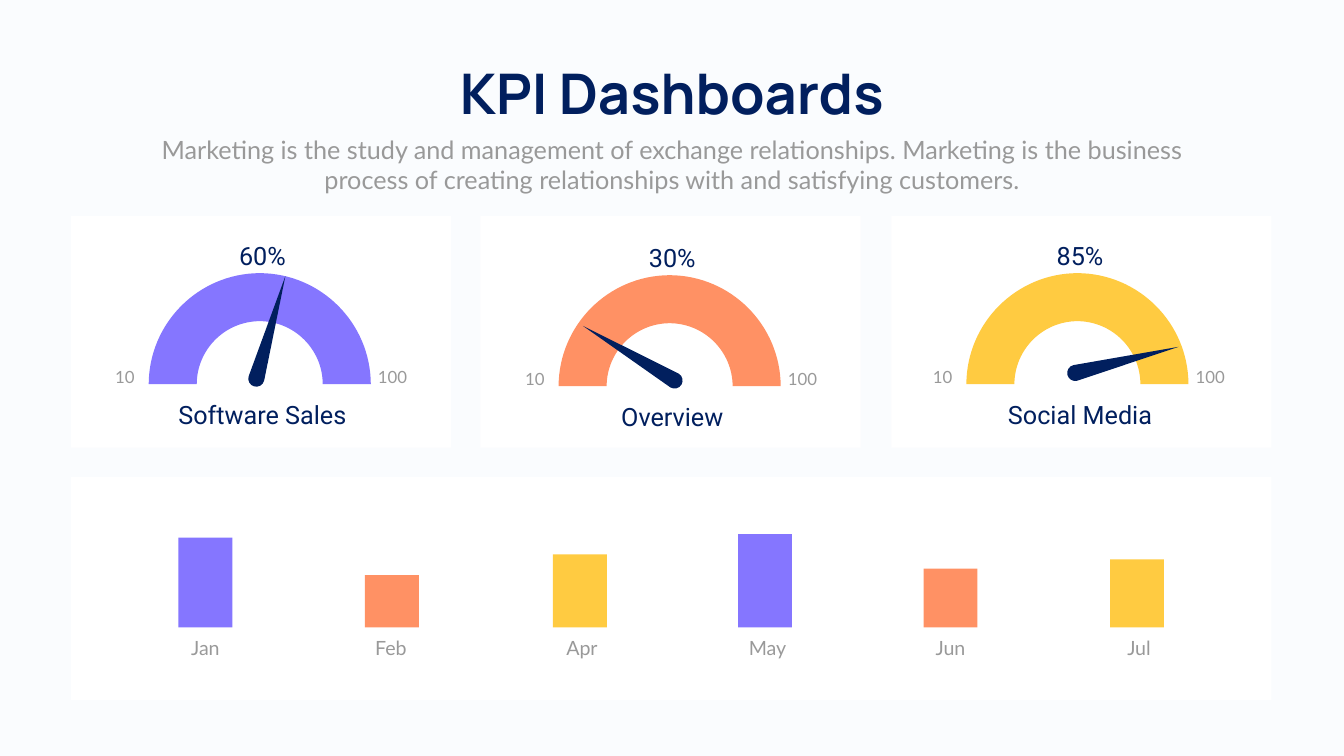
from math import cos, radians, sin

from pptx import Presentation
from pptx.dml.color import RGBColor
from pptx.enum.shapes import MSO_SHAPE
from pptx.enum.text import MSO_AUTO_SIZE, PP_ALIGN
from pptx.oxml.ns import qn
from pptx.oxml.xmlchemy import OxmlElement
from pptx.util import Pt

RECT = MSO_SHAPE.RECTANGLE
FIT = MSO_AUTO_SIZE.SHAPE_TO_FIT_TEXT
LEFT, MID, RIGHT = PP_ALIGN.LEFT, PP_ALIGN.CENTER, PP_ALIGN.RIGHT

PAPER = RGBColor(0xFA, 0xFC, 0xFE)
WHITE = RGBColor(0xFF, 0xFF, 0xFF)
NAVY = RGBColor(0x01, 0x1F, 0x5E)
GREY = RGBColor(0x99, 0x99, 0x99)
VIOLET = RGBColor(0x85, 0x76, 0xFF)
CORAL = RGBColor(0xFF, 0x91, 0x64)
YELLOW = RGBColor(0xFF, 0xCB, 0x41)
COLORS = (VIOLET, CORAL, YELLOW)

OUTER, INNER = 158.6, 90
NEEDLE, HUB = 152.3, 11.5
PULL, SWING = 1.14, 28.9
BASE = 896.4
BAR = 77

CARDS = (101.5, 686.2, 1273)
GAUGES = (
    ("Software Sales", "60%", 212.4, 390.2, (153.7, 150.8), 74.2),
    ("Overview", "30%", 797.8, 393.1, (165.6, 150.5), 149.2),
    ("Social Media", "85%", 1380.2, 390.2, (155.5, 142.6), 14.2),
)
BARS = (
    ("Jan", 254.9, 128.2, 179.3),
    ("Feb", 521.3, 74.9, 444.2),
    ("Apr", 789.8, 104.4, 717.1),
    ("May", 1054.1, 133.2, 982.1),
    ("Jun", 1319, 84.2, 1243.4),
    ("Jul", 1585.4, 97.2, 1512.7),
)


def paint(shape, color):
    shape.shadow.inherit = False
    shape.fill.solid()
    shape.fill.fore_color.rgb = color
    shape.line.fill.background()


def add_box(slide, x, y, w, h, color):
    paint(slide.shapes.add_shape(RECT, Pt(x), Pt(y), Pt(w), Pt(h)), color)


def add_text(slide, text, x, y, w, h, *, size, font="Lato", color=GREY,
             align=MID, bold=False, wrap=True, lead=None):
    frame = slide.shapes.add_textbox(Pt(x), Pt(y), Pt(w), Pt(h)).text_frame
    frame.word_wrap = wrap
    frame.auto_size = FIT
    para = frame.paragraphs[0]
    para.alignment = align
    if lead:
        para.line_spacing = Pt(lead)
    run = para.add_run()
    run.text = text
    run.font.name = font
    run.font.size = Pt(size)
    run.font.bold = bold
    run.font.color.rgb = color


def polar(x, y, reach, angle):
    turn = radians(angle)
    return x + reach * cos(turn), y - reach * sin(turn)


def half(x, y, reach, start, sign):
    points = [polar(x, y, reach, start)]
    for angle in (start, start + 90 * sign):
        points += [polar(x, y, reach * PULL, angle + SWING * sign),
                   polar(x, y, reach * PULL, angle + (90 - SWING) * sign),
                   polar(x, y, reach, angle + 90 * sign)]
    return points


def add_curves(slide, points, starts, color):
    first, *rest = [(Pt(x), Pt(y)) for x, y in points]
    form = slide.shapes.build_freeform(*first)
    form.add_line_segments(rest, close=True)
    shape = form.convert_to_shape()
    paint(shape, color)
    lines = list(shape._element.iter(qn("a:lnTo")))
    for start in starts:
        for i in (start, start + 3):
            curve = OxmlElement("a:cubicBezTo")
            lines[i].addprevious(curve)
            for line in lines[i:i + 3]:
                curve.append(line[0])
                line.getparent().remove(line)


def add_gauge(slide, name, share, x, y, hub, angle, color):
    mid, floor = x + OUTER, y + OUTER
    ring = half(mid, floor, OUTER, 0, 1) + half(mid, floor, INNER, 180, -1)
    add_curves(slide, ring, (0, 7), color)
    hub_x, hub_y = x + hub[0], y + hub[1]
    tip = polar(hub_x, hub_y, NEEDLE, angle)
    cap = half(hub_x, hub_y, HUB, angle + 90, 1)
    add_curves(slide, [tip] + cap, (1,), NAVY)

    for text, dx, width, align in (("10", -71.3, 58.3, RIGHT),
                                   ("100", 320.4, 74.9, LEFT)):
        add_text(slide, text, x + dx, y + 118.8, width, 50.4,
                 size=24, align=align, lead=40.8)
    for text, dy in ((name, 176.4), (share, -50.4)):
        add_text(slide, text, x - 70.5, y + dy, 465.8, 51.1,
                 size=36, font="Roboto", color=NAVY)


def add_bar(slide, month, x, height, label_x, color):
    add_box(slide, x, BASE - height, BAR, height, color)
    add_text(slide, month, label_x, 905, 228.2, 41, size=28)


def main():
    deck = Presentation()
    deck.slide_width, deck.slide_height = Pt(1919.52), Pt(1080)
    slide = deck.slides.add_slide(deck.slide_layouts[6])
    slide.background.fill.solid()
    slide.background.fill.fore_color.rgb = PAPER

    for x in CARDS:
        add_box(slide, x, 308.9, 542.9, 330.5, WHITE)
    add_box(slide, 101.5, 681.1, 1714.3, 319, WHITE)

    add_text(slide, "KPI Dashboards", 624.2, 80.6, 671, 104.4, size=80,
             font="Manrope", color=NAVY, bold=True, wrap=False)
    add_text(slide, "Marketing is the study and management of exchange "
             "relationships. Marketing is the business process of creating "
             "relationships with and satisfying customers.",
             210.2, 187.9, 1499, 94.3, size=36)

    for gauge, color in zip(GAUGES, COLORS):
        add_gauge(slide, *gauge, color)
    for bar, color in zip(BARS, COLORS * 2):
        add_bar(slide, *bar, color)
    deck.save("out.pptx")


if __name__ == "__main__":
    main()
